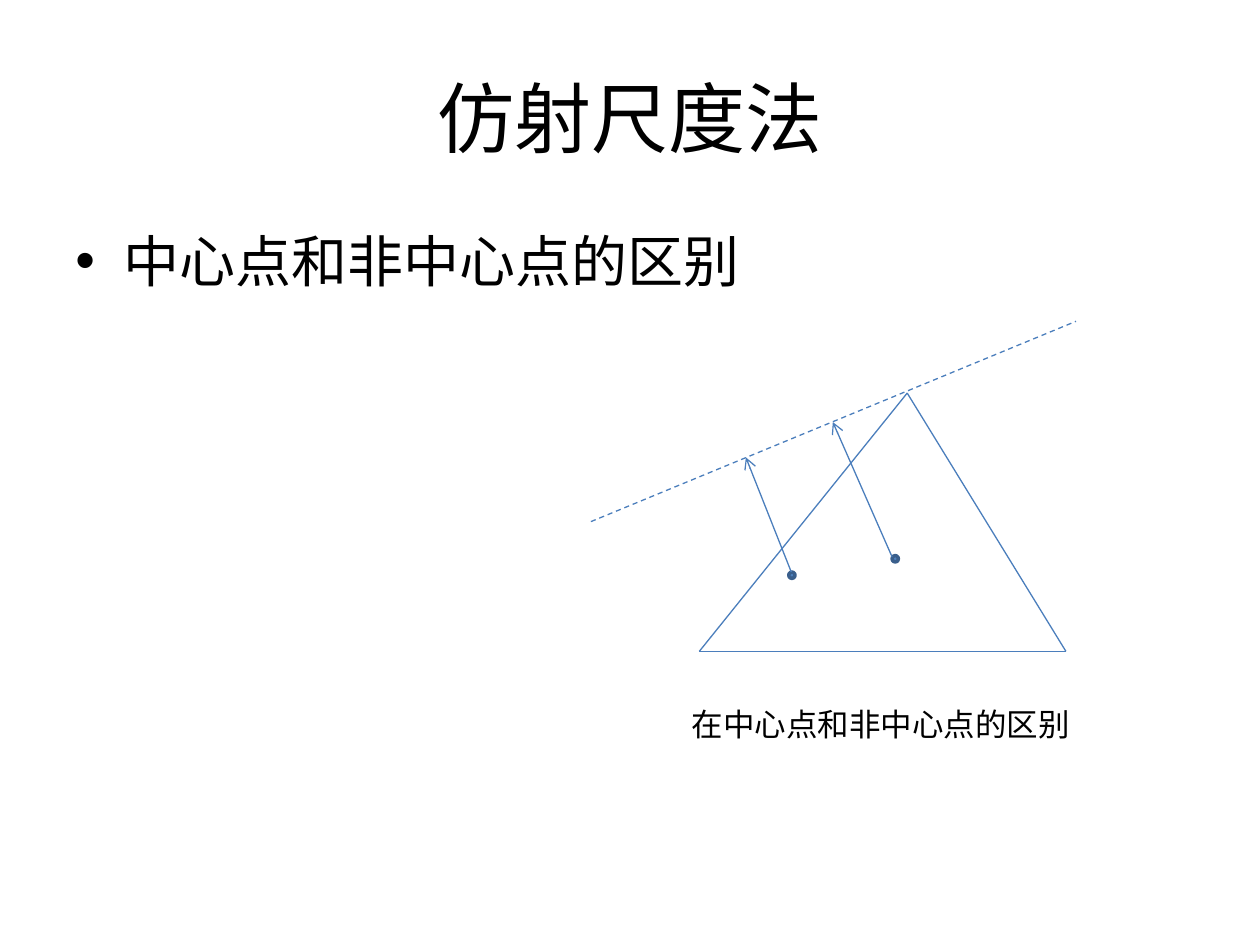
from lxml.etree import SubElement
from pptx import Presentation
from pptx.dml.color import RGBColor
from pptx.enum.dml import MSO_LINE
from pptx.enum.shapes import MSO_CONNECTOR, MSO_SHAPE
from pptx.enum.text import MSO_ANCHOR, PP_ALIGN
from pptx.oxml.ns import qn
from pptx.util import Inches, Pt


def color(hex_text):
    return RGBColor.from_string(hex_text)


def write(frame, text, size=18, align=PP_ALIGN.LEFT, anchor=MSO_ANCHOR.TOP,
          bullet=None, indent=0.38, font="Calibri", ink="000000"):
    frame.word_wrap = True
    frame.vertical_anchor = anchor
    paragraph = frame.paragraphs[0]
    paragraph.alignment = align
    if bullet:
        props = paragraph._p.get_or_add_pPr()
        props.set("marL", str(Inches(indent)))
        props.set("indent", str(-Inches(indent)))
        SubElement(props, qn("a:buFont"), typeface="Arial")
        SubElement(props, qn("a:buChar"), char=bullet)
    run = paragraph.add_run()
    run.text = text
    run.font.name = font
    run.font.size = Pt(size)
    run.font.color.rgb = color(ink)


class Figure:
    line_ink = "4B7EBC"
    dot_fill = "4F81BD"
    dot_edge = "3A5F8C"
    dot_size = 0.05

    def __init__(self, slide):
        self.slide = slide

    def title(self, text, left, top, width, height):
        title = self.slide.shapes.title
        title.left, title.top = Inches(left), Inches(top)
        title.width, title.height = Inches(width), Inches(height)
        write(title.text_frame, text, size=44, align=PP_ALIGN.CENTER,
              anchor=MSO_ANCHOR.MIDDLE)

    def text(self, text, left, top, width, height, **style):
        box = self.slide.shapes.add_textbox(
            Inches(left), Inches(top), Inches(width), Inches(height))
        write(box.text_frame, text, **style)

    def line(self, start, end, dashed=False, arrow=False):
        line = self.slide.shapes.add_connector(
            MSO_CONNECTOR.STRAIGHT, *map(Inches, start + end))
        line.line.color.rgb = color(self.line_ink)
        line.line.width = Pt(0.75)
        if dashed:
            line.line.dash_style = MSO_LINE.DASH
        if arrow:
            SubElement(line.line._get_or_add_ln(), qn("a:tailEnd"), type="arrow")
        SubElement(line._element.spPr, qn("a:effectLst"))

    def dot(self, left, top):
        dot = self.slide.shapes.add_shape(
            MSO_SHAPE.OVAL, Inches(left), Inches(top),
            Inches(self.dot_size), Inches(self.dot_size))
        dot.shadow.inherit = False
        dot.fill.solid()
        dot.fill.fore_color.rgb = color(self.dot_fill)
        dot.line.color.rgb = color(self.dot_edge)
        dot.line.width = Pt(2)


def main():
    deck = Presentation()
    deck.slide_width, deck.slide_height = Inches(10), Inches(7.5)
    figure = Figure(deck.slides.add_slide(deck.slide_layouts[5]))

    # Heading and bullet
    figure.title("仿射尺度法", 0.5, 0.3, 9, 1.25)
    figure.text("中心点和非中心点的区别", 0.5, 1.75, 9, 4.95, size=32, bullet="•")

    # Feasible triangle
    corners = [(7.2, 3.12), (5.55, 5.17), (8.46, 5.17)]
    for start, end in zip(corners, corners[1:] + corners[:1]):
        figure.line(start, end)

    # Central and off-centre points
    for left, top in [(6.26, 4.54), (7.08, 4.41)]:
        figure.dot(left, top)

    # Objective line through the apex, and the steps towards it
    figure.line((4.69, 4.14), (8.54, 2.55), dashed=True)
    figure.line((7.08, 4.42), (6.61, 3.35), arrow=True)
    figure.line((6.28, 4.54), (5.92, 3.63), arrow=True)

    # Caption
    figure.text("在中心点和非中心点的区别", 5.39, 5.55, 3.78, 0.4)

    deck.save("out.pptx")


if __name__ == "__main__":
    main()
